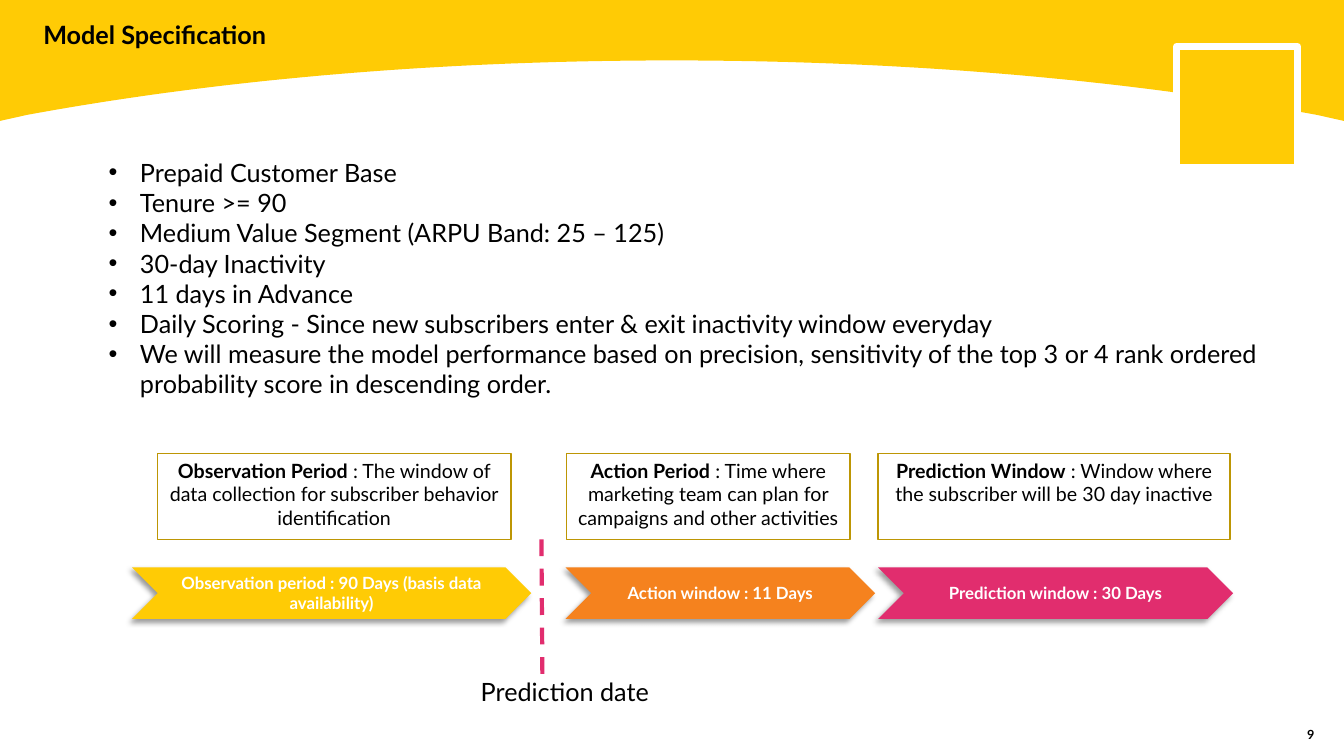
from lxml import etree
from pptx import Presentation
from pptx import util as u
from pptx.dml import color as dml
from pptx.enum import dml as lines
from pptx.enum import shapes, text
from pptx.oxml import ns

PX = 9144
COLORS = {
    "yellow": "FFCB05",
    "orange": "F5821E",
    "pink": "E12D6E",
    "gold": "BD9604",
    "white": "FFFFFF",
    "black": "000000",
}
CENTER = text.PP_ALIGN.CENTER
MIDDLE = text.MSO_ANCHOR.MIDDLE


def rgb(name):
    return dml.RGBColor.from_string(COLORS[name])


def assign(target, values):
    for name, value in values.items():
        setattr(target, name, value)


def add_xml(parent, tag, **attributes):
    return etree.SubElement(parent, ns.qn(tag), attributes)


class SlideBuilder:
    font_name = "Lato"

    def __init__(self, deck):
        self.page = deck.slides.add_slide(deck.slide_layouts[6])

    def paint(self, shape, fill=None, line=None, width=1):
        shape.shadow.inherit = False
        if fill:
            shape.fill.solid()
            shape.fill.fore_color.rgb = rgb(fill)
        else:
            shape.fill.background()
        if line:
            shape.line.color.rgb = rgb(line)
            shape.line.width = u.Pt(width)
        else:
            shape.line.fill.background()

    def add_text(self, box, paragraphs, size, color="black", inset=True, bullet=None,
                 anchor=text.MSO_ANCHOR.TOP, **para_format):
        frame = box.text_frame
        assign(frame, {"word_wrap": True, "vertical_anchor": anchor})
        if not inset:
            sides = ("left", "top", "right", "bottom")
            assign(frame, {f"margin_{side}": 0 for side in sides})
        for index, spans in enumerate(paragraphs):
            para = frame.add_paragraph() if index else frame.paragraphs[0]
            assign(para, para_format)
            if bullet:
                properties = para._p.get_or_add_pPr()
                properties.set("marL", str(31 * PX))
                properties.set("indent", str(-31 * PX))
                add_xml(properties, "a:buFont", typeface="Arial")
                add_xml(properties, "a:buChar", char=bullet)
            for content, bold in spans:
                span = para.add_run()
                span.text = content
                assign(span.font, {"name": self.font_name, "size": u.Pt(size), "bold": bold})
                span.font.color.rgb = rgb(color)

    def shape(self, kind, place, **paint):
        shape = self.page.shapes.add_shape(kind, *(value * PX for value in place))
        self.paint(shape, **paint)
        return shape

    def text_box(self, place, paragraphs, size, **options):
        box = self.page.shapes.add_textbox(*(value * PX for value in place))
        self.add_text(box, paragraphs, size, **options)

    def note(self, place, term, meaning):
        box = self.shape(shapes.MSO_SHAPE.RECTANGLE, place, fill="white", line="gold")
        self.add_text(box, [[(term, True), (meaning, False)]], 14, alignment=CENTER)

    def chevron(self, place, label, fill):
        arrow = self.shape(shapes.MSO_SHAPE.CHEVRON, place, fill=fill)
        effects = arrow._element.spPr.find(ns.qn("a:effectLst"))
        shadow = add_xml(effects, "a:outerShdw", blurRad=str(u.Pt(4)), dist=str(u.Pt(3)),
                         dir=str(135 * 60000), algn="tr", rotWithShape="0")
        tint = add_xml(shadow, "a:srgbClr", val=COLORS["black"])
        add_xml(tint, "a:alpha", val="40000")
        self.add_text(arrow, [[(label, True)]], 12, color="white", anchor=MIDDLE,
                      alignment=CENTER)

    def dashed_line(self, start, end, color, width):
        ends = (value * PX for value in (*start, *end))
        line = self.page.shapes.add_connector(shapes.MSO_CONNECTOR.STRAIGHT, *ends)
        assign(line.line, {"width": u.Pt(width), "dash_style": lines.MSO_LINE.DASH})
        line.line.color.rgb = rgb(color)
        add_xml(line._element.spPr, "a:effectLst")

    def banner(self, width, edge, crown, fill, steps=60):
        middle = width / 2
        handles = ((27, 114), (217, 79), (435, crown), (middle, crown))
        left_arc = []
        for step in range(steps + 1):
            t = step / steps
            weights = ((1 - t) ** 3, 3 * t * (1 - t) ** 2, 3 * t * t * (1 - t), t ** 3)
            left_arc.append(tuple(sum(w * p[axis] for w, p in zip(weights, handles))
                                  for axis in (0, 1)))
        right_arc = [(width - x, y) for x, y in reversed(left_arc[:-1])]
        outline = [(0, edge), *left_arc, *right_arc, (width, edge), (width, 0)]
        builder = self.page.shapes.build_freeform(0, 0, scale=1.0)
        builder.add_line_segments([(round(x * PX), round(y * PX)) for x, y in outline], close=True)
        self.paint(builder.convert_to_shape(), fill=fill)


def main():
    deck = Presentation()
    assign(deck, {"slide_width": 1333 * PX, "slide_height": 750 * PX})
    slide = SlideBuilder(deck)

    slide.banner(1333, 120, 60, "yellow")
    slide.shape(shapes.MSO_SHAPE.RECTANGLE, (1167, 46, 120, 120),
                fill="yellow", line="white", width=4.7)
    slide.text_box((1266, 715, 68, 27), [[("9", True)]], 9, inset=False,
                   anchor=MIDDLE, alignment=CENTER)
    slide.text_box((43, 23, 1290, 27), [[("Model Specification", True)]], 18,
                   inset=False, line_spacing=0.9)

    points = [
        "Prepaid Customer Base",
        "Tenure >= 90",
        "Medium Value Segment (ARPU Band: 25 – 125)",
        "30-day Inactivity",
        "11 days in Advance",
        "Daily Scoring - Since new subscribers enter & exit inactivity window everyday",
        "We will measure the model performance based on precision, sensitivity of the "
        "top 3 or 4 rank ordered probability score in descending order.",
    ]
    slide.text_box((98, 151, 1175, 313), [[(point, False)] for point in points], 18, bullet="•")

    phases = [
        (131, 396, "Observation period : 90 Days (basis data availability)", "yellow",
         156, 351, "Observation Period",
         " : The window of data collection for subscriber behavior identification"),
        (561, 307, "Action window : 11 Days", "orange",
         562, 281, "Action Period",
         " : Time where marketing team can plan for campaigns and other activities"),
        (871, 352, "Prediction window : 30 Days", "pink",
         871, 349, "Prediction Window",
         " : Window where the subscriber will be 30 day inactive"),
    ]
    for left, width, label, fill, note_left, note_width, term, meaning in phases:
        slide.chevron((left, 563, width, 51), label, fill)
        slide.note((note_left, 450, note_width, 85), term, meaning)

    slide.dashed_line((537, 535), (538, 676), "pink", 3)
    slide.text_box((467, 666, 190, 38), [[("Prediction date", False)]], 18)
    deck.save("out.pptx")


if __name__ == "__main__":
    main()
